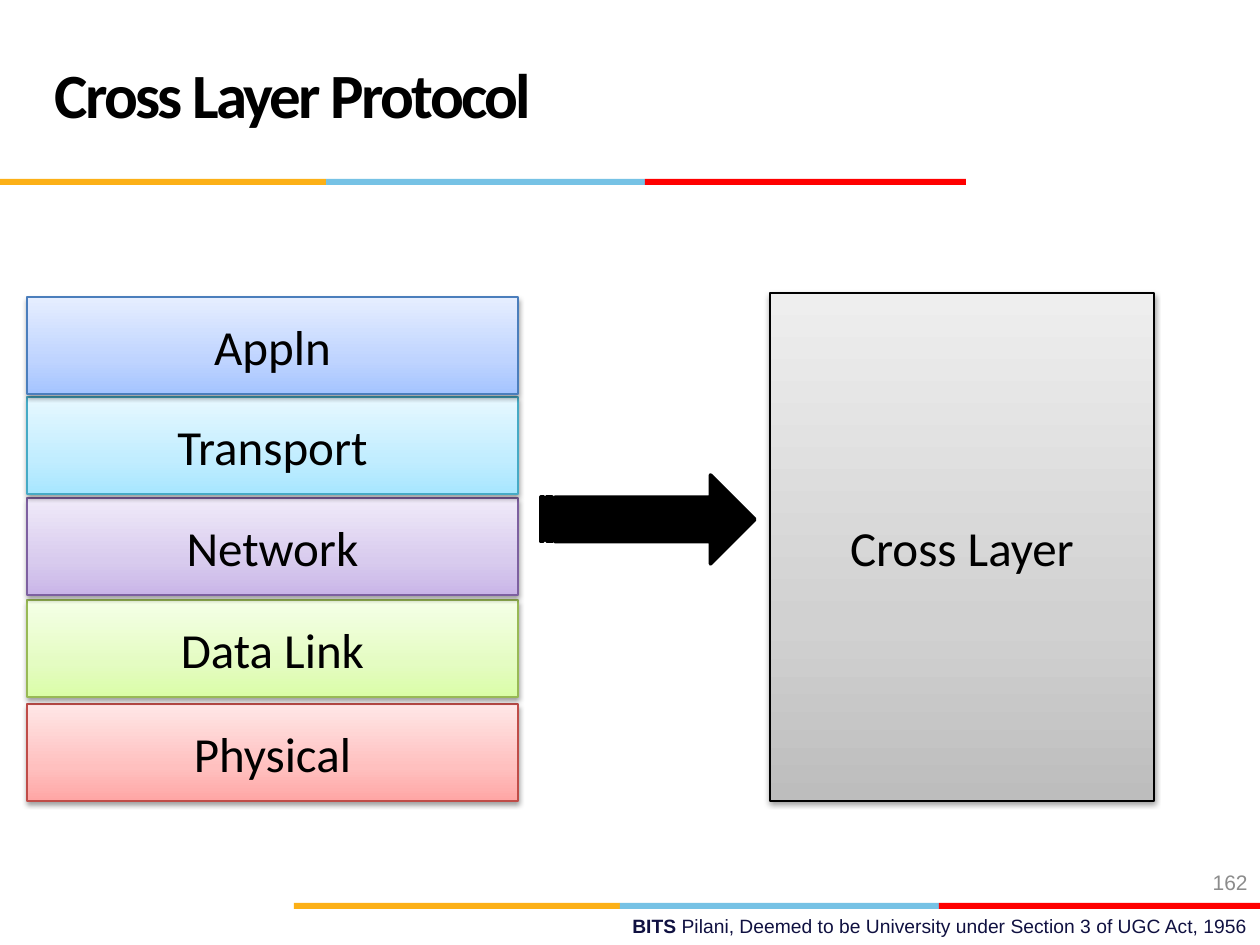
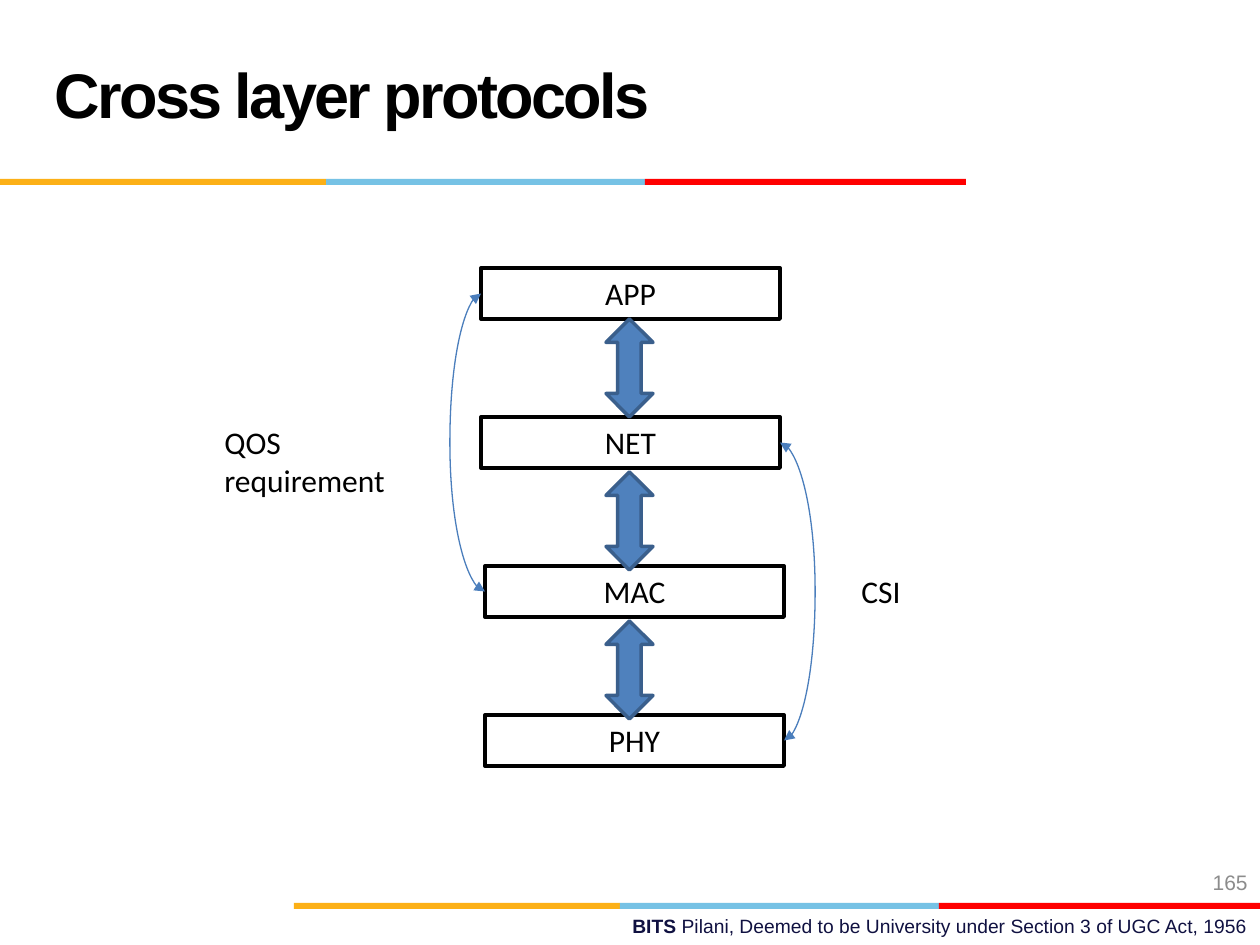
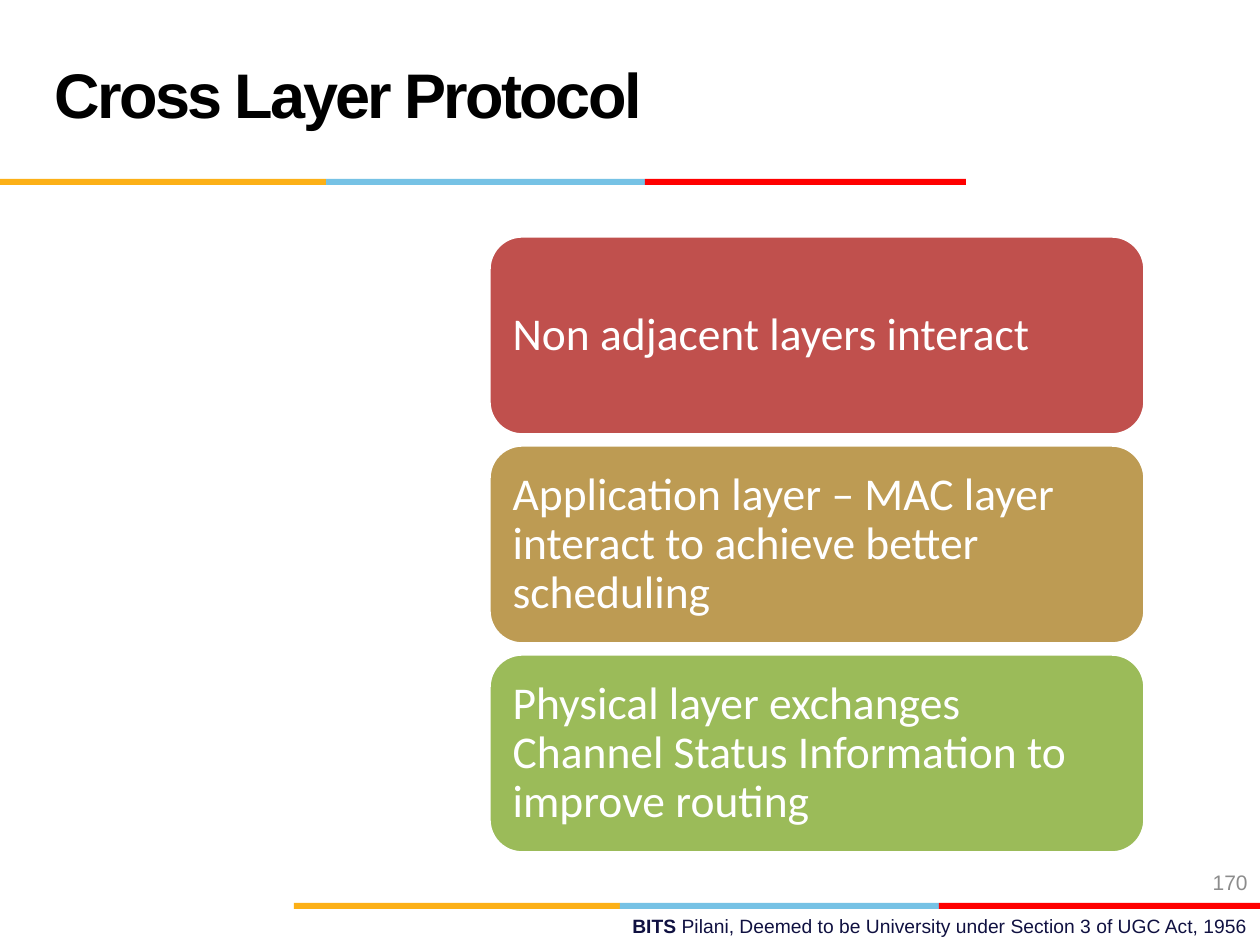
from copy import deepcopy

from lxml import etree
from pptx import Presentation
from pptx import util as u
from pptx.dml.color import RGBColor
from pptx.enum import shapes, text
from pptx.oxml.ns import qn

SCALE = u.Inches(1) / 126
BLACK = RGBColor(0, 0, 0)
WHITE = RGBColor(255, 255, 255)
GOLD = RGBColor(0xFC, 0xB0, 0x17)
SKY = RGBColor(0x76, 0xC2, 0xE5)
RED = RGBColor(255, 0, 0)
NAVY = RGBColor(0x10, 0x11, 0x41)
GREY = RGBColor(0x8C, 0x8C, 0x8C)
BLUE = RGBColor(0x4F, 0x81, 0xBD)
EDGE = RGBColor(0x3A, 0x5F, 0x8C)
CURVE = RGBColor(0x4B, 0x7E, 0xBC)
BRICK = RGBColor(0xC0, 0x50, 0x4D)
SAND = RGBColor(0xBD, 0x9B, 0x53)
GREEN = RGBColor(0x9B, 0xBB, 0x59)


def tones(*codes):
    return [RGBColor.from_string(code) for code in codes]


LAYERS = [
    ("Appln", 297, tones("A4C4FF", "BFD4FF", "E6EEFF", "4B7EBC")),
    ("Transport", 397, tones("A7E6FF", "C1EDFF", "E7F8FF", "46AAC5")),
    ("Network", 498, tones("C9B5E8", "D8CBEE", "F0EAF9", "7D60A0")),
    ("Data Link", 600, tones("DAFDA7", "E4FCC2", "F5FFE7", "98B955")),
    ("Physical", 704, tones("FFA6A5", "FFC0BF", "FFE7E7", "BF4C48")),
]
CROSS = tones("BDBDBD", "D1D1D1", "EEEEEE", "000000")
ALIGN = text.PP_ALIGN
MIDDLE = text.MSO_ANCHOR.MIDDLE
PRESET = shapes.MSO_SHAPE


def px(*vals):
    return [round(val * SCALE) for val in vals]


def write(para, words, size, color, font="Calibri", bold=False):
    run = para.add_run()
    run.text = words
    run.font.size = u.Pt(size)
    run.font.name = font
    run.font.bold = bold
    run.font.color.rgb = color
    return run


def add_text(slide, box, align=ALIGN.LEFT):
    item = slide.shapes.add_textbox(*px(*box))
    item.text_frame.word_wrap = True
    para = item.text_frame.paragraphs[0]
    para.alignment = align
    return item, para


def add_shape(slide, kind, box, fill=None, line=None, width=2):
    item = slide.shapes.add_shape(kind, *px(*box))
    item.shadow.inherit = False
    if fill is not None:
        item.fill.solid()
        item.fill.fore_color.rgb = fill
    if line is None:
        item.line.fill.background()
    else:
        item.line.color.rgb = line
        item.line.width = u.Pt(width)
    return item


def add_band(slide, left, top):
    for start, width, color in ((0, 326, GOLD), (326, 319, SKY), (645, 321, RED)):
        add_shape(slide, PRESET.RECTANGLE, (left + start, top, width, 6), color)


def add_title(slide, words, font):
    title = slide.shapes.title
    title.left, title.top, title.width, title.height = px(42, 21, 872, 158)
    frame = title.text_frame
    frame.auto_size = text.MSO_AUTO_SIZE.NONE
    frame.word_wrap = True
    frame.vertical_anchor = MIDDLE
    para = frame.paragraphs[0]
    para.alignment = ALIGN.LEFT
    para.line_spacing = u.Pt(36)
    run = write(para, words, 36, BLACK, font, True)
    run.font._element.set("spc", "-150")


def add_foot(slide, number):
    add_band(slide, 294, 903)
    _, para = add_text(slide, (451, 908, 809, 37), ALIGN.RIGHT)
    write(para, "BITS ", 11, NAVY, "Arial", True)
    write(para, "Pilani, Deemed to be University under Section 3 of UGC Act, 1956",
          11, NAVY, "Arial")
    item, para = add_text(slide, (966, 857, 294, 50), ALIGN.RIGHT)
    item.text_frame.vertical_anchor = MIDDLE
    write(para, number, 12, GREY, "Arial")


def start(deck, words, number, font="Arial"):
    slide = deck.slides.add_slide(deck.slide_layouts[5])
    add_band(slide, 0, 179)
    add_title(slide, words, font)
    add_foot(slide, number)
    return slide


def add_layer(slide, box, words, colors):
    *stops, edge = colors
    item = add_shape(slide, PRESET.RECTANGLE, box, None, edge, 0.75)
    item.fill.gradient()
    item.fill.gradient_angle = 90
    props = item.element.spPr
    ramp = props.find(".//" + qn("a:gsLst"))
    ramp.append(deepcopy(ramp[0]))
    for stop, place, color in zip(item.fill.gradient_stops, (0, 0.35, 1), stops):
        stop.position = place
        stop.color.rgb = color
    shade = etree.SubElement(props.find(qn("a:effectLst")), qn("a:outerShdw"),
                             blurRad="40000", dist="20000", dir="5400000", rotWithShape="0")
    black = etree.SubElement(shade, qn("a:srgbClr"), val="000000")
    etree.SubElement(black, qn("a:alpha"), val="38000")
    item.text_frame.vertical_anchor = MIDDLE
    para = item.text_frame.paragraphs[0]
    para.alignment = ALIGN.CENTER
    write(para, words, 28, BLACK)


def add_stack(slide, left, top):
    for words, high, colors in reversed(LAYERS):
        add_layer(slide, (left, top + high - LAYERS[0][1], 491, 97), words, colors)
    add_layer(slide, (left + 743, top - 4, 384, 508), "Cross Layer", CROSS)
    add_shape(slide, PRESET.STRIPED_RIGHT_ARROW, (left + 514, top + 178, 214, 89), BLACK, BLACK)


def add_curve(slide, first, last, side, bulge):
    link = slide.shapes.add_connector(shapes.MSO_CONNECTOR.CURVE, 0, 0, 0, 0)
    link.begin_connect(first, side)
    link.end_connect(last, side)
    link.line.color.rgb = CURVE
    link.line.width = u.Pt(0.75)
    props = link.element.spPr
    for end in ("a:headEnd", "a:tailEnd"):
        etree.SubElement(props.find(qn("a:ln")), qn(end), type="triangle")
    etree.SubElement(props, qn("a:effectLst"))
    ratio = round(bulge * SCALE / link.width * 100000)
    etree.SubElement(props.find(".//" + qn("a:avLst")), qn("a:gd"),
                     name="adj1", fmla=f"val {ratio}")


def add_flow(slide, left, top):
    boxes = []
    for row, (words, shift) in enumerate((("APP", 0), ("NET", 0), ("MAC", 4), ("PHY", 4))):
        item, para = add_text(slide, (left + shift, top + 149 * row, 299, 51), ALIGN.CENTER)
        item.line.color.rgb = BLACK
        item.line.width = u.Pt(2.25)
        write(para, words, 18, BLACK)
        boxes.append(item)
    for drop in (51, 204, 353):
        add_shape(slide, PRESET.UP_DOWN_ARROW, (left + 125, top + drop, 47, 98), BLUE, EDGE)
    app, net, mac, phy = boxes
    add_curve(slide, app, mac, 1, -31)
    add_curve(slide, net, phy, 3, 35)
    for words, shift, drop, high in (("QOS requirement", -269, 149, 89), ("CSI", 368, 298, 51)):
        _, para = add_text(slide, (left + shift, top + drop, 217, high))
        write(para, words, 18, BLACK)


def add_cards(slide, left, top):
    cards = (
        ("Non adjacent layers interact", BRICK),
        ("Application layer – MAC layer interact to achieve better scheduling", SAND),
        ("Physical layer exchanges Channel Status Information to improve routing", GREEN),
    )
    for row, (words, color) in enumerate(cards):
        card = add_shape(slide, PRESET.ROUNDED_RECTANGLE,
                         (left, top + 209 * row, 656, 199), color, WHITE)
        frame = card.text_frame
        frame.word_wrap = True
        frame.vertical_anchor = MIDDLE
        frame.margin_left, frame.margin_top = frame.margin_right, frame.margin_bottom = px(14, 14)
        para = frame.paragraphs[0]
        para.alignment = ALIGN.LEFT
        para.line_spacing = 0.9
        write(para, words, 26, WHITE)


def main():
    deck = Presentation()
    deck.slide_width, deck.slide_height = px(1260, 945)
    add_stack(start(deck, "Cross Layer Protocol", "162", "Calibri"), 27, 297)
    add_flow(start(deck, "Cross layer protocols", "165"), 481, 268)
    add_cards(start(deck, "Cross Layer Protocol", "170"), 489, 236)
    deck.save("out.pptx")


if __name__ == "__main__":
    main()
